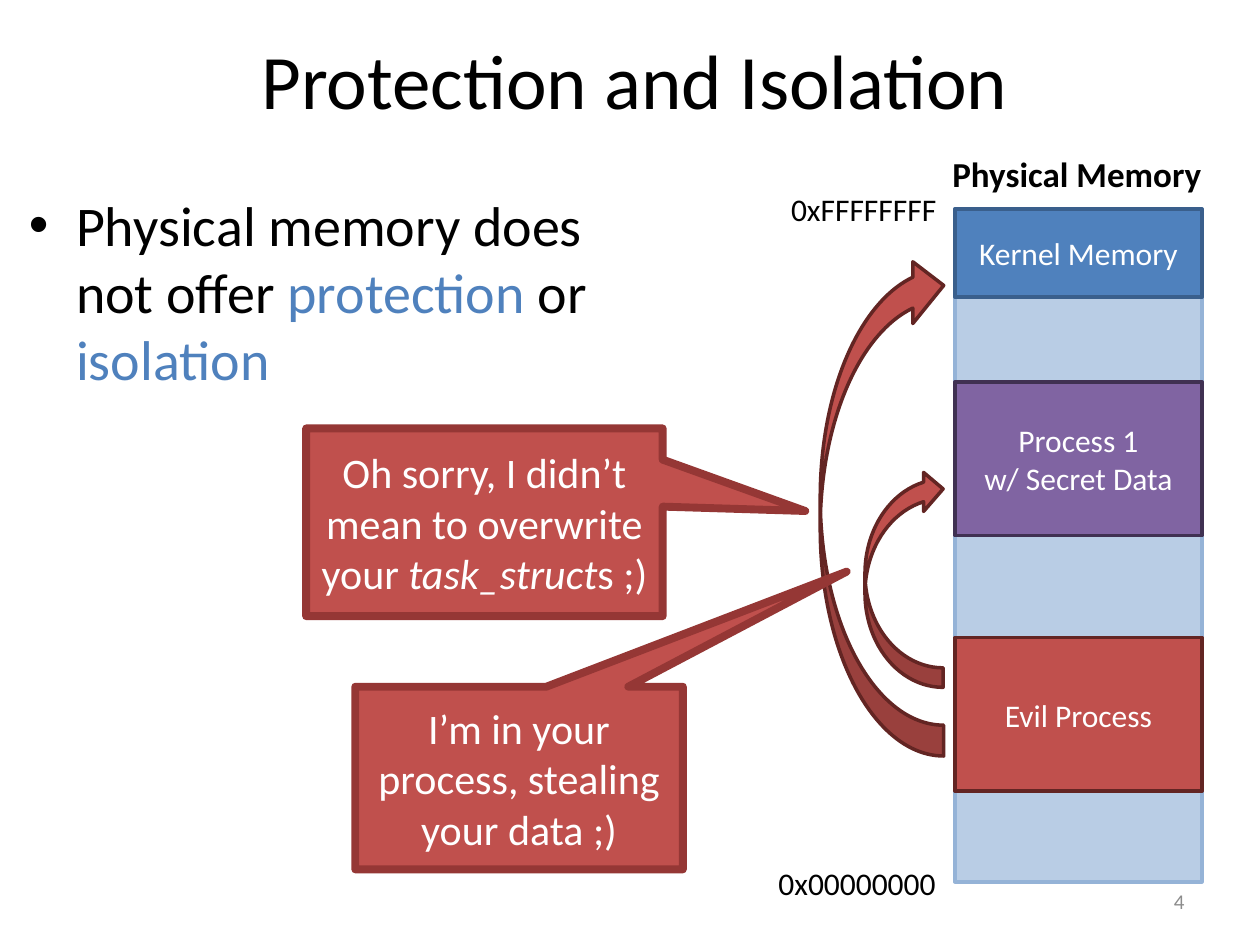
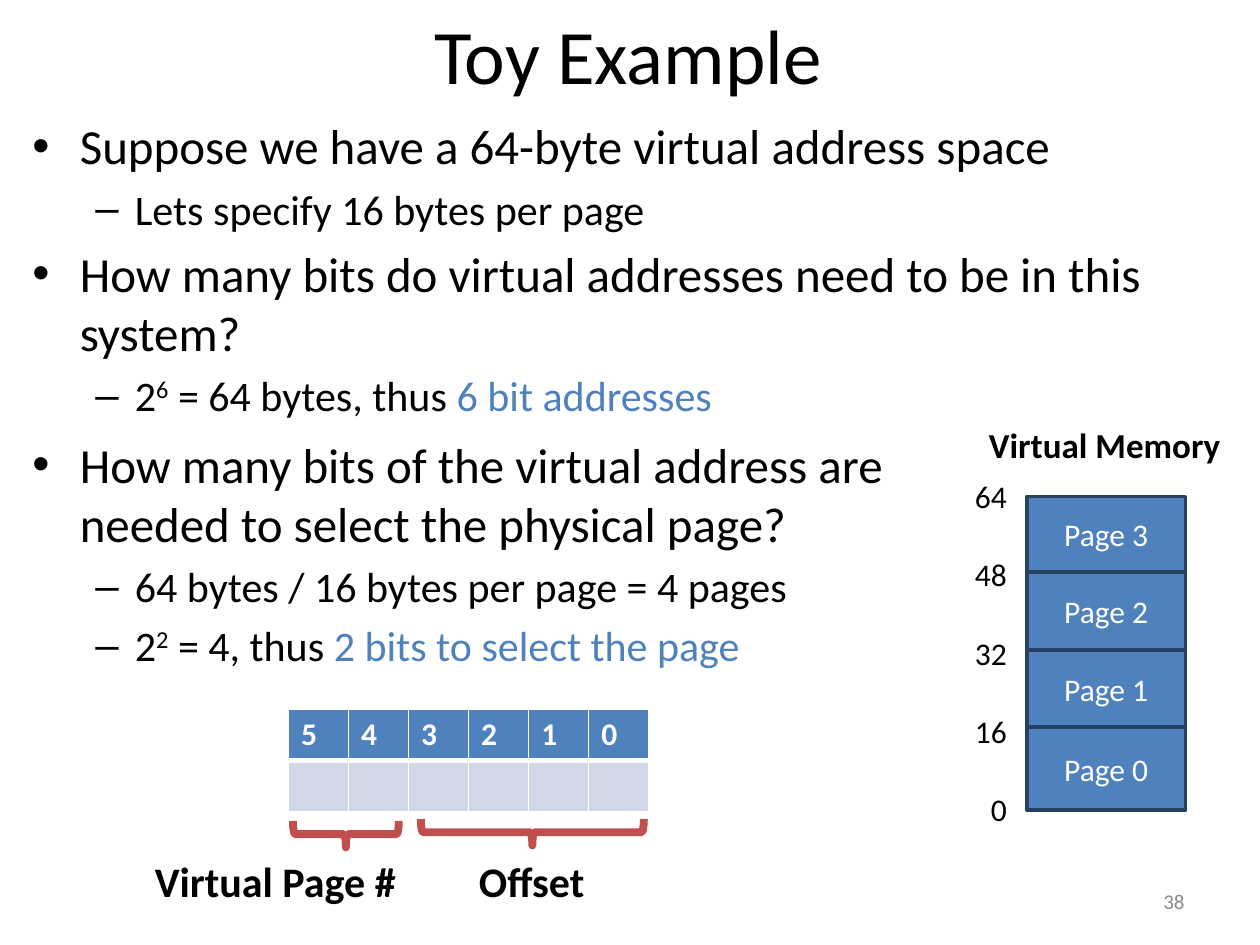
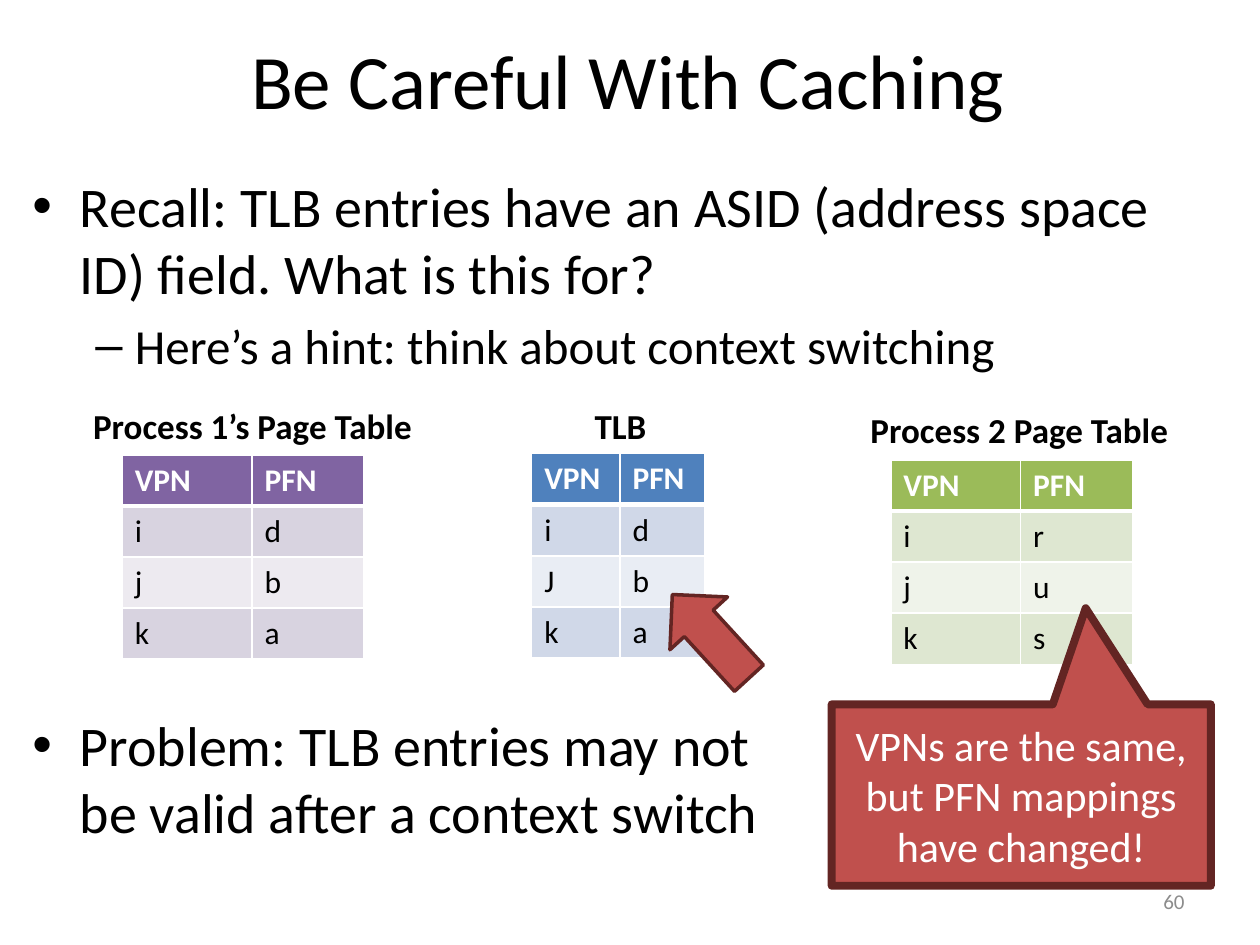
from dataclasses import dataclass

from lxml.etree import SubElement
from pptx import Presentation
from pptx.dml.color import RGBColor
from pptx.enum.shapes import MSO_SHAPE as Preset
from pptx.enum.text import MSO_ANCHOR as Anchor, PP_ALIGN as Align
from pptx.oxml import parse_xml
from pptx.oxml.ns import nsdecls, qn
from pptx.util import Pt


@dataclass(frozen=True)
class Theme:
    font: str = "Calibri"
    text: str = "000000"
    white: str = "FFFFFF"
    number: str = "8C8C8C"
    blue: str = "4F81BD"
    blue_line: str = "3A5F8C"
    navy: str = "254061"
    memory: str = "B9CDE5"
    memory_line: str = "95B3D7"
    purple: str = "8064A2"
    purple_line: str = "403152"
    green: str = "9BBB59"
    red: str = "C0504D"
    red_line: str = "953735"
    dark_red: str = "632523"
    title_size: float = 44
    large: float = 32
    medium: float = 28
    callout: float = 24
    caption: float = 20
    label: float = 18
    number_size: float = 12
    thin: float = 2
    thick: float = 4.5
    row_height: float = 29.2


THEME = Theme()
BANDS = {
    THEME.blue: ("D0D8E8", "E9EDF4"),
    THEME.purple: ("D8D3E0", "EDEAF0"),
    THEME.green: ("DEE7D1", "EFF3EA"),
}
BULLETS = (("•", 27, -27), ("–", 58.5, -22.5))


def rgb(color):
    return RGBColor.from_string(color)


def points(frame):
    return [Pt(value) for value in frame]


def set_font(paragraph, size, color=THEME.text, bold=False):
    font = paragraph.font
    font.name = THEME.font
    font.size = Pt(size)
    font.bold = bold
    font.color.rgb = rgb(color)


def add_runs(paragraph, parts):
    for part in [parts] if isinstance(parts, str) else parts:
        text, style = (part, None) if isinstance(part, str) else part
        run = paragraph.add_run()
        run.text = text
        if style == "accent":
            run.font.color.rgb = rgb(THEME.blue)
        elif style == "italic":
            run.font.italic = True
        elif style == "super":
            run.font._element.set("baseline", "30000")


def write_lines(text_frame, lines, size, color=THEME.text, bold=False, align=Align.CENTER):
    for index, line in enumerate(lines):
        paragraph = text_frame.add_paragraph() if index else text_frame.paragraphs[0]
        paragraph.alignment = align
        add_runs(paragraph, line)
        set_font(paragraph, size, color, bold)


def add_titled_slide(presentation, title, frame, number):
    slide = presentation.slides.add_slide(presentation.slide_layouts[5])
    shape = slide.shapes.title
    shape.left, shape.top, shape.width, shape.height = points(frame)
    shape.text_frame.vertical_anchor = Anchor.MIDDLE
    write_lines(shape.text_frame, [title], THEME.title_size)
    number_box = add_label(slide, (516.24, 500.4, 167.76, 28.8), str(number),
                           THEME.number_size, THEME.number, align=Align.RIGHT, wrap=True)
    number_box.text_frame.vertical_anchor = Anchor.MIDDLE
    return slide


def add_label(slide, frame, text, size=THEME.label, color=THEME.text,
              bold=False, align=Align.LEFT, wrap=False):
    shape = slide.shapes.add_textbox(*points(frame))
    shape.text_frame.word_wrap = wrap
    write_lines(shape.text_frame, [text], size, color, bold, align)
    return shape


def add_caption(slide, left, top, width, text):
    add_label(slide, (left, top, width, 31.68), text, THEME.caption, bold=True)


def add_bullets(slide, frame, items, sizes):
    text_frame = slide.shapes.add_textbox(*points(frame)).text_frame
    text_frame.word_wrap = True
    for index, (level, parts) in enumerate(items):
        paragraph = text_frame.add_paragraph() if index else text_frame.paragraphs[0]
        symbol, margin, indent = BULLETS[level]
        paragraph.level = level
        properties = paragraph._p.get_or_add_pPr()
        properties.set("marL", str(Pt(margin)))
        properties.set("indent", str(Pt(indent)))
        SubElement(properties, qn("a:buFont")).set("typeface", "Arial")
        SubElement(properties, qn("a:buChar")).set("char", symbol)
        if index:
            paragraph.space_before = Pt(sizes[level] * 0.2)
        add_runs(paragraph, parts)
        set_font(paragraph, sizes[level])


def add_figure(slide, preset, frame, fill, line, width=THEME.thin, rotation=0):
    shape = slide.shapes.add_shape(preset, *points(frame))
    shape.shadow.inherit = False
    shape.rotation = rotation
    if fill:
        shape.fill.solid()
        shape.fill.fore_color.rgb = rgb(fill)
    else:
        shape.fill.background()
    shape.line.color.rgb = rgb(line)
    shape.line.width = Pt(width)
    return shape


def add_block(slide, frame, lines, fill, line):
    shape = add_figure(slide, Preset.RECTANGLE, frame, fill, line)
    write_lines(shape.text_frame, lines, THEME.label, THEME.white)


def add_callout(slide, frame, tip, text, line):
    shape = add_figure(slide, Preset.RECTANGULAR_CALLOUT, frame, THEME.red, line, THEME.thick)
    shape.adjustments[0], shape.adjustments[1] = tip
    shape.text_frame.word_wrap = True
    write_lines(shape.text_frame, [text], THEME.callout, THEME.white)


def set_borders(cell, top, bottom):
    properties = cell._tc.get_or_add_tcPr()
    for index, (side, width) in enumerate(zip("LRTB", (1, 1, top, bottom))):
        properties.insert(index, parse_xml(
            f'<a:ln{side} {nsdecls("a")} w="{Pt(width)}"><a:solidFill>'
            f'<a:srgbClr val="{THEME.white}"/></a:solidFill></a:ln{side}>'))


def add_grid(slide, left, top, column_widths, rows, color):
    frame = points((left, top, sum(column_widths), THEME.row_height * len(rows)))
    table = slide.shapes.add_table(len(rows), len(column_widths), *frame).table
    for column, width in zip(table.columns, column_widths):
        column.width = Pt(width)
    for row_index, values in enumerate(rows):
        header = row_index == 0
        table.rows[row_index].height = Pt(THEME.row_height)
        for column_index, value in enumerate(values):
            cell = table.cell(row_index, column_index)
            cell.fill.solid()
            cell.fill.fore_color.rgb = rgb(color if header else BANDS[color][(row_index - 1) % 2])
            set_borders(cell, 3 if row_index == 1 else 1, 3 if header else 1)
            write_lines(cell.text_frame, [value] if value else [[]], THEME.label,
                        THEME.white if header else THEME.text, header, Align.LEFT)


def build_protection(presentation):
    slide = add_titled_slide(presentation, "Protection and Isolation", (38.88, 0, 648, 90), 4)
    add_bullets(slide, (9.36, 105.12, 352.08, 356.4), [
        (0, ["Physical memory does not offer ", ("protection", "accent"), " or ",
             ("isolation", "accent")]),
    ], (THEME.large,))

    memory_left, memory_width = 545.76, 141.12
    add_figure(slide, Preset.RECTANGLE, (memory_left, 119.52, memory_width, 384.48),
               THEME.memory, THEME.memory_line)
    add_label(slide, (437.76, 490.32, 105.12, 28.8), "0x00000000")
    add_label(slide, (444.96, 105.12, 97.92, 28.8), "0xFFFFFFFF")
    add_caption(slide, 537.12, 83.52, 158.4, "Physical Memory")
    for top, height, lines, fill, line in (
        (119.52, 50.4, ["Kernel Memory"], THEME.blue, THEME.blue_line),
        (218.16, 87.84, ["Process 1", "w/ Secret Data"], THEME.purple, THEME.purple_line),
        (364.32, 87.84, ["Evil Process"], THEME.red, THEME.dark_red),
    ):
        add_block(slide, (memory_left, top, memory_width, height), lines, fill, line)

    for frame in ((454.32, 308.16, 124.56, 44.64), (360.72, 253.44, 286.56, 70.56)):
        add_figure(slide, Preset.CURVED_DOWN_ARROW, frame, THEME.red, THEME.dark_red, rotation=270)
    add_callout(slide, (203.04, 392.4, 187.2, 104.4), (1.0, -1.13),
                "I’m in your process, stealing your data ;)", THEME.red_line)
    add_callout(slide, (174.96, 244.8, 203.76, 107.28), (0.9, -0.06),
                ["Oh sorry, I didn’t mean to overwrite your ", ("task_struct", "italic"), "s ;)"],
                THEME.red_line)


def build_toy_example(presentation):
    slide = add_titled_slide(presentation, "Toy Example", (3.6, 0, 710.64, 61.2), 38)
    sizes = (THEME.medium, THEME.callout)
    add_bullets(slide, (11.52, 62.64, 693.36, 258.48), [
        (0, "Suppose we have a 64-byte virtual address space"),
        (1, "Lets specify 16 bytes per page"),
        (0, "How many bits do virtual addresses need to be in this system?"),
        (1, ["2", ("6", "super"), " = 64 bytes, thus ", ("6 bit addresses", "accent")]),
    ], sizes)
    add_bullets(slide, (11.52, 244.8, 528.48, 158.4), [
        (0, "How many bits of the virtual address are needed to select the physical page?"),
        (1, "64 bytes / 16 bytes per page = 4 pages"),
        (1, ["2", ("2", "super"), " = 4, thus ", ("2 bits to select the page", "accent")]),
    ], sizes)

    add_caption(slide, 558, 238.32, 147.6, "Virtual Memory")
    page_edges = (462.96, 415.44, 371.52, 326.88, 283.68)
    for page, (bottom, top) in enumerate(zip(page_edges, page_edges[1:])):
        add_block(slide, (586.8, top, 90.72, bottom - top), [f"Page {page}"],
                  THEME.blue, THEME.navy)
    for step in range(5):
        address = str(16 * step)
        width = 14.4 + 9.36 * len(address)
        add_label(slide, (582.48 - width, 447.84 - 44.64 * step, width, 28.8), address,
                  align=Align.RIGHT)

    add_grid(slide, 164.88, 405.36, [34.32] * 6, ["543210", [""] * 6], THEME.blue)
    for frame in ((190.08, 446.4, 15.12, 60.48), (296.64, 411.84, 15.12, 127.44)):
        add_figure(slide, Preset.LEFT_BRACE, frame, None, THEME.red, THEME.thick, 270)
    for left, width, text in ((80.64, 153.36, "Virtual Page #"), (265.68, 76.32, "Offset")):
        add_label(slide, (left, 485.28, width, 36), text, THEME.callout, bold=True,
                  align=Align.CENTER)


def build_caching(presentation):
    slide = add_titled_slide(presentation, "Be Careful With Caching", (3.6, 0, 710.64, 90), 60)
    sizes = (THEME.large, THEME.medium)
    add_bullets(slide, (11.52, 94.32, 693.36, 131.76), [
        (0, "Recall: TLB entries have an ASID (address space ID) field. What is this for?"),
        (1, "Here’s a hint: think about context switching"),
    ], sizes)
    add_bullets(slide, (11.52, 402.48, 442.08, 117.36), [
        (0, "Problem: TLB entries may not be valid after a context switch"),
    ], sizes)

    wide, narrow = (74.16, 64.08), (50.4, 48.24)
    for caption, caption_frame, left, top, widths, entries, color in (
        ("Process 1’s Page Table", (46.08, 227.52, 198), 69.84, 259.92, wide,
         ["id", "jb", "ka"], THEME.purple),
        ("Process 2 Page Table", (490.32, 229.68, 185.76), 509.04, 262.8, wide,
         ["ir", "ju", "ks"], THEME.green),
        ("TLB", (332.64, 227.52, 44.64), 303.84, 259.2, narrow,
         ["id", "Jb", "ka"], THEME.blue),
    ):
        add_caption(slide, *caption_frame, caption)
        add_grid(slide, left, top, widths, [("VPN", "PFN"), *entries], color)

    add_figure(slide, Preset.RIGHT_ARROW, (373.68, 341.28, 64.8, 44.64),
               THEME.red, THEME.dark_red, rotation=227.5)
    add_callout(slide, (475.2, 402.48, 216.72, 103.68), (0.17, -1.03),
                "VPNs are the same, but PFN mappings have changed!", THEME.dark_red)


def main():
    presentation = Presentation()
    presentation.slide_width, presentation.slide_height = points((720, 540))
    build_protection(presentation)
    build_toy_example(presentation)
    build_caching(presentation)
    presentation.save("out.pptx")


if __name__ == "__main__":
    main()
